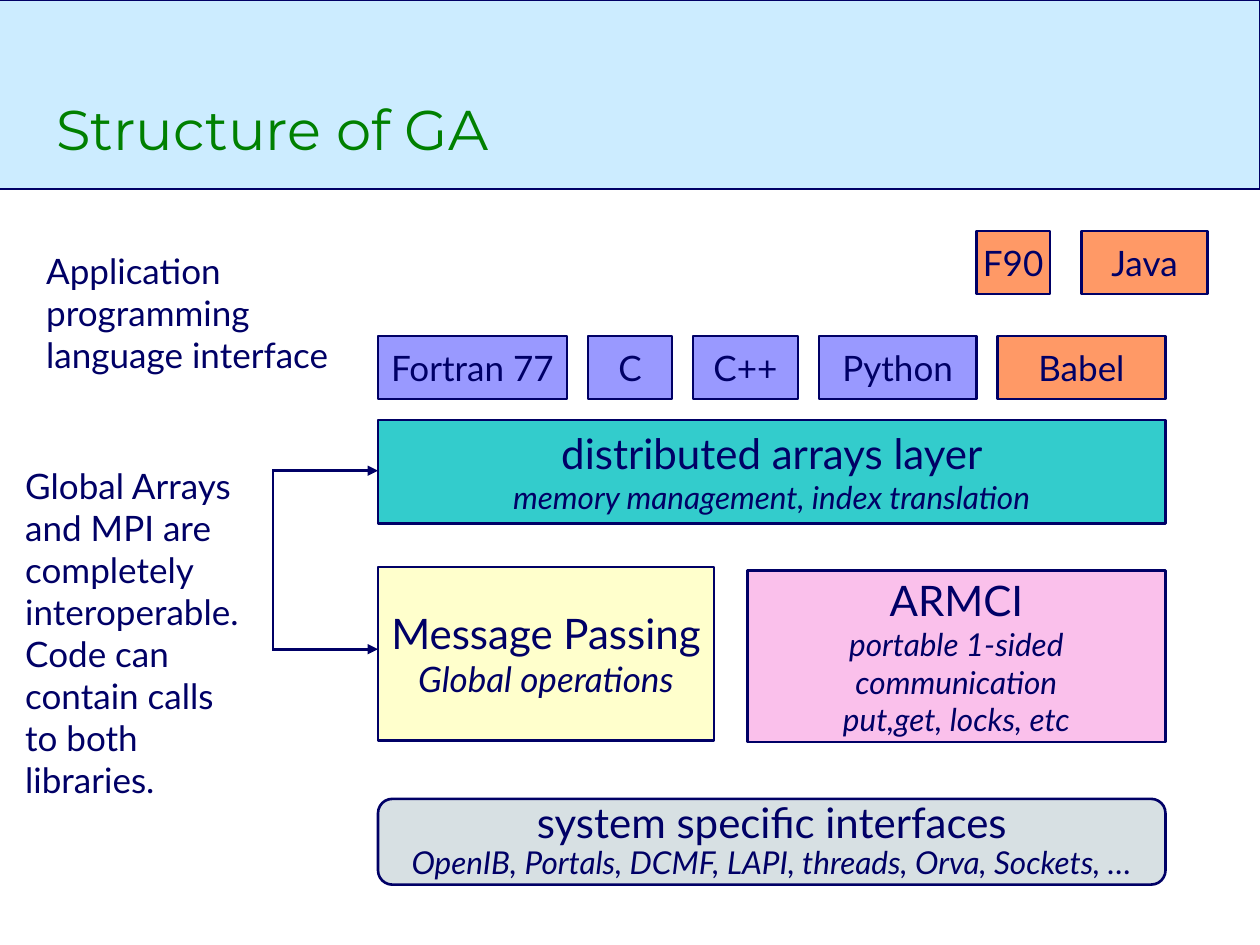
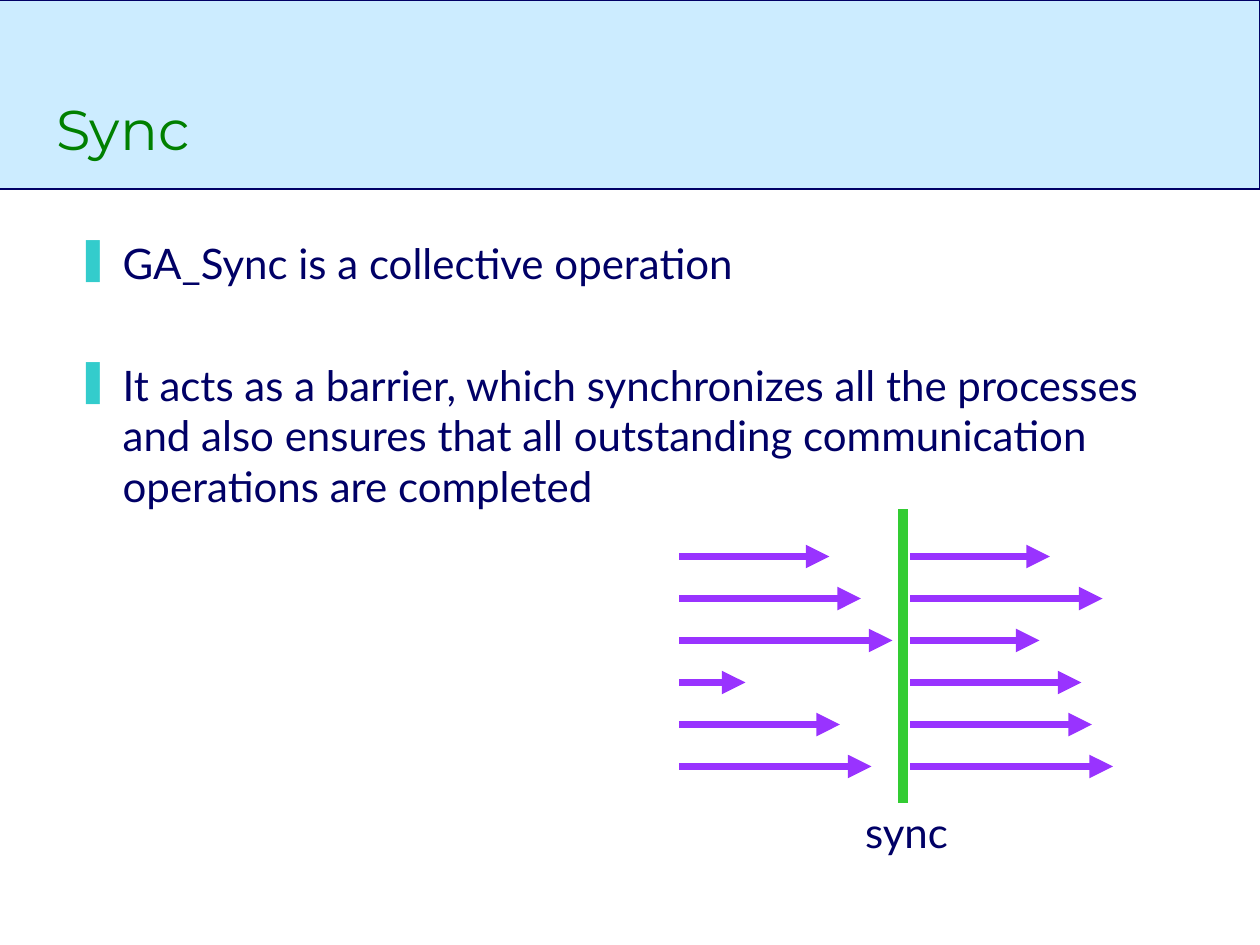
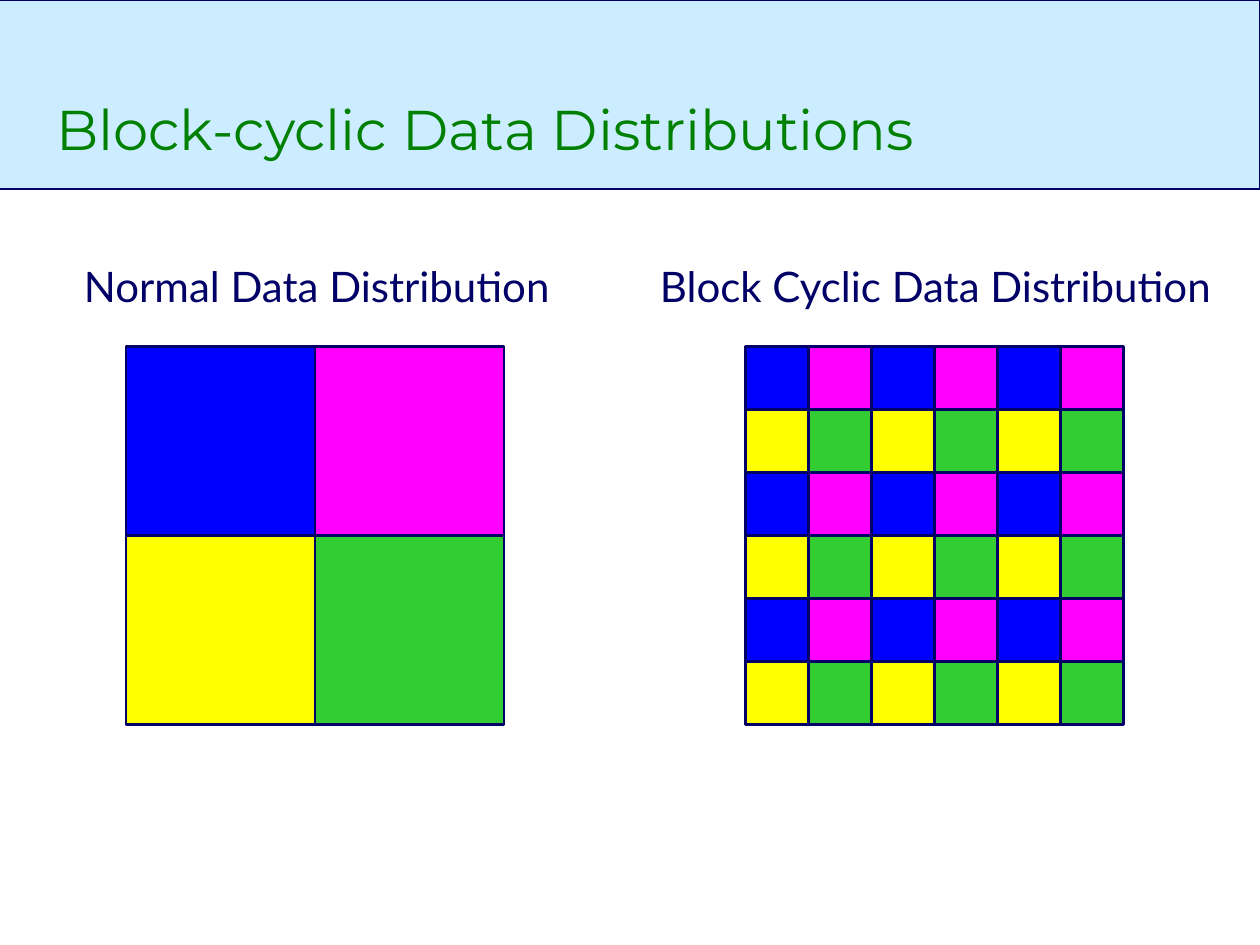
from dataclasses import dataclass
from typing import Any, Sequence

from lxml.etree import SubElement
from pptx import Presentation
from pptx.dml.color import RGBColor
from pptx.enum.shapes import MSO_CONNECTOR as Connector, MSO_SHAPE as Preset
from pptx.enum.text import MSO_ANCHOR as Anchor, MSO_AUTO_SIZE as AutoSize, PP_ALIGN as Align
from pptx.oxml.ns import qn
from pptx.util import Pt


@dataclass(frozen=True)
class Theme:
    ink: str = "000066"
    title: str = "008000"
    band: str = "CCECFF"
    teal: str = "33CCCC"
    periwinkle: str = "9999FF"
    orange: str = "FF9966"
    cream: str = "FFFFCC"
    pink: str = "FAC0EB"
    grey: str = "D7E0E3"
    purple: str = "9933FF"
    green: str = "33CC33"
    blue: str = "0000FF"
    magenta: str = "FF00FF"
    yellow: str = "FFFF00"
    title_font: str = "Montserrat"
    body_font: str = "Lato"
    title_size: float = 32
    large: float = 24
    medium: float = 20
    small: float = 18
    outline: float = 1.5
    arrow: float = 4.5
    barrier: float = 6


THEME = Theme()
NARROW = (7.2, 3.6)
WIDE = (14.4, 10.8)


@dataclass(frozen=True)
class Area:
    left: float
    top: float
    width: float
    height: float

    def lengths(self) -> list[Pt]:
        return [Pt(value) for value in (self.left, self.top, self.width, self.height)]


@dataclass(frozen=True)
class TextLine:
    text: str
    size: float = THEME.large
    italic: bool = False
    color: str = THEME.ink
    font: str = THEME.body_font


@dataclass(frozen=True)
class Block:
    area: Area
    fill: str
    lines: Sequence[TextLine] = ()
    preset: Preset = Preset.RECTANGLE
    spacing: float = 1.0


@dataclass(frozen=True)
class Label:
    text: str
    width: float
    fill: str


@dataclass(frozen=True)
class Stroke:
    start: tuple[float, float]
    end: tuple[float, float]
    color: str = THEME.ink
    weight: float = THEME.outline
    arrow: bool = False


def apply_values(target: Any, values: dict[str, Any]) -> None:
    for name, value in values.items():
        setattr(target, name, value)


def write_text(frame: Any, lines: Sequence[TextLine], frame_values: dict[str, Any],
               para_values: dict[str, Any], margins: tuple[float, float] = WIDE) -> None:
    side, edge = (Pt(value) for value in margins)
    apply_values(frame, {"margin_left": side, "margin_right": side,
                         "margin_top": edge, "margin_bottom": edge} | frame_values)
    for index, line in enumerate(lines):
        para = frame.add_paragraph() if index else frame.paragraphs[0]
        apply_values(para, para_values)
        span = para.add_run()
        span.text = line.text
        apply_values(span.font, {"name": line.font, "size": Pt(line.size), "italic": line.italic})
        span.font.color.rgb = RGBColor.from_string(line.color)


def draw_block(page: Any, block: Block) -> None:
    box = page.shapes.add_shape(block.preset, *block.area.lengths())
    box.shadow.inherit = False
    box.fill.solid()
    box.fill.fore_color.rgb = RGBColor.from_string(block.fill)
    box.line.color.rgb = RGBColor.from_string(THEME.ink)
    box.line.width = Pt(THEME.outline)
    if block.lines:
        write_text(box.text_frame, block.lines,
                   {"word_wrap": False, "vertical_anchor": Anchor.MIDDLE},
                   {"alignment": Align.CENTER, "line_spacing": block.spacing})


def draw_row(page: Any, left: float, top: float, gap: float, labels: Sequence[Label]) -> None:
    for label in labels:
        area = Area(left, top, label.width, 36)
        draw_block(page, Block(area, label.fill, [TextLine(label.text, THEME.medium)]))
        left += label.width + gap


def draw_stroke(page: Any, stroke: Stroke) -> None:
    points = [Pt(value) for value in stroke.start + stroke.end]
    connector = page.shapes.add_connector(Connector.STRAIGHT, *points)
    connector.line.color.rgb = RGBColor.from_string(stroke.color)
    connector.line.width = Pt(stroke.weight)
    properties = connector._element.spPr
    outline = properties.find(qn("a:ln"))
    outline.set("cap", "sq")
    if stroke.arrow:
        SubElement(outline, qn("a:tailEnd"), type="triangle")
    SubElement(properties, qn("a:effectLst"))


def draw_note(page: Any, area: Area, text: str, size: float, centred: bool = False) -> None:
    box = page.shapes.add_textbox(*area.lengths())
    write_text(box.text_frame, [TextLine(text, size)],
               {"word_wrap": not centred, "auto_size": AutoSize.SHAPE_TO_FIT_TEXT},
               {"alignment": Align.CENTER if centred else Align.LEFT})


def draw_bullets(page: Any, area: Area, texts: Sequence[str], gap: float) -> None:
    frame = page.shapes.add_textbox(*area.lengths()).text_frame
    write_text(frame, [TextLine(text) for text in texts], {"word_wrap": True},
               {"space_before": Pt(gap)}, NARROW)
    frame.paragraphs[0].space_before = Pt(6)
    for para in frame.paragraphs:
        properties = para._p.get_or_add_pPr()
        for name, value in {"marL": Pt(27), "indent": Pt(-27)}.items():
            properties.set(name, str(value))
        SubElement(SubElement(properties, qn("a:buClr")), qn("a:srgbClr"), val=THEME.teal)
        SubElement(properties, qn("a:buChar"), char="❚")


def draw_grid(page: Any, left: float, top: float, cell: float, count: int) -> None:
    colors = ((THEME.blue, THEME.magenta), (THEME.yellow, THEME.green))
    for row in range(count):
        for column in range(count):
            area = Area(left + column * cell, top + row * cell, cell, cell)
            draw_block(page, Block(area, colors[row % 2][column % 2]))


def add_page(deck: Any, title: str) -> Any:
    page = deck.slides.add_slide(deck.slide_layouts[6])
    draw_block(page, Block(Area(-2, 0, 722, 108), THEME.band))
    box = page.shapes.add_textbox(*Area(25, 18, 598, 78).lengths())
    line = TextLine(title, THEME.title_size, color=THEME.title, font=THEME.title_font)
    write_text(box.text_frame, [line],
               {"word_wrap": True, "vertical_anchor": Anchor.BOTTOM}, {}, NARROW)
    return page


def build_structure(deck: Any) -> None:
    page = add_page(deck, "Structure of GA")
    small, medium = THEME.small, THEME.medium
    layers = (
        Block(Area(216, 324, 192, 99), THEME.cream,
              [TextLine("Message Passing"), TextLine("Global operations", medium, True)]),
        Block(Area(427, 326, 239, 98), THEME.pink,
              [TextLine("ARMCI"), TextLine("portable 1-sided", small, True),
               TextLine("communication", small, True),
               TextLine("put,get, locks, etc", small, True)]),
        Block(Area(216, 240, 450, 59), THEME.teal,
              [TextLine("distributed arrays layer"),
               TextLine("memory management, index translation", small, True)]),
        Block(Area(216, 456.5, 450, 49), THEME.grey,
              [TextLine("system specific interfaces"),
               TextLine("OpenIB, Portals, DCMF, LAPI, threads, Orva, Sockets, …", small, True)],
              Preset.ROUNDED_RECTANGLE, 0.9),
    )
    for layer in layers:
        draw_block(page, layer)

    trunk, edge, upper, lower = 156, 216, 269, 371
    draw_stroke(page, Stroke((trunk, lower), (trunk, upper)))
    for level in (upper, lower):
        draw_stroke(page, Stroke((trunk, level), (edge, level), arrow=True))

    draw_row(page, 216, 192, 12, (
        Label("Fortran 77", 108, THEME.periwinkle),
        Label("C", 48, THEME.periwinkle),
        Label("C++", 60, THEME.periwinkle),
        Label("Python", 90, THEME.periwinkle),
        Label("Babel", 96, THEME.orange),
    ))
    draw_row(page, 558, 132, 18, (
        Label("F90", 42, THEME.orange),
        Label("Java", 72, THEME.orange),
    ))
    draw_note(page, Area(0, 254.5, 156, 214),
              "Global Arrays and MPI are completely interoperable. "
              "Code can contain calls to both libraries.", medium)
    draw_note(page, Area(12, 132, 198, 117),
              "Application programming language interface", medium)


def build_sync(deck: Any) -> None:
    page = add_page(deck, "Sync")
    draw_bullets(page, Area(36, 132, 644, 345), (
        "GA_Sync is a collective operation",
        "It acts as a barrier, which synchronizes all the processes and also ensures "
        "that all outstanding communication operations are completed",
    ), 41)
    arrow_groups = ((390, (84, 102, 120, 36, 90, 108)), (522, (78, 108, 72, 96, 102, 114)))
    for left, lengths in arrow_groups:
        for index, length in enumerate(lengths):
            level = 318 + index * 24
            draw_stroke(page, Stroke((left, level), (left + length, level),
                                     THEME.purple, THEME.arrow, True))
    draw_stroke(page, Stroke((516, 294), (516, 456), THEME.green, THEME.barrier))
    draw_note(page, Area(478.5, 450, 79, 50), "sync", THEME.large, True)


def build_distributions(deck: Any) -> None:
    page = add_page(deck, "Block-cyclic Data Distributions")
    draw_grid(page, 72, 198, 108, 2)
    draw_grid(page, 426, 198, 36, 6)
    draw_note(page, Area(24.5, 138, 313, 50), "Normal Data Distribution", THEME.large, True)
    draw_note(page, Area(355.5, 138, 358, 50), "Block Cyclic Data Distribution", THEME.large, True)


deck = Presentation()
apply_values(deck, {"slide_width": Pt(720), "slide_height": Pt(540)})
for build in (build_structure, build_sync, build_distributions):
    build(deck)
deck.save("out.pptx")
